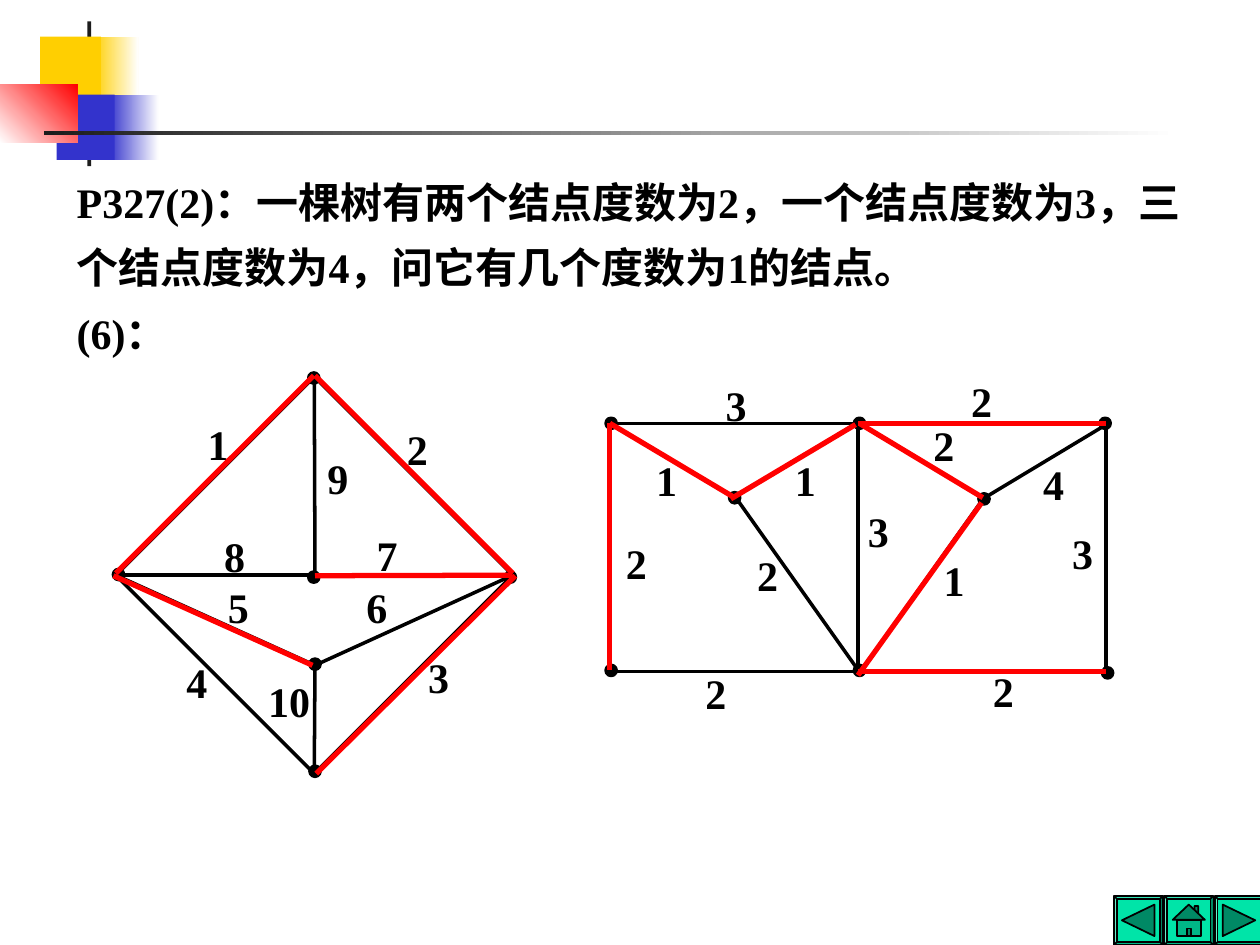
from dataclasses import dataclass
from typing import Optional

from lxml import etree
from pptx import Presentation
from pptx.dml.color import RGBColor
from pptx.enum.shapes import MSO_CONNECTOR, MSO_SHAPE
from pptx.enum.text import MSO_AUTO_SIZE
from pptx.oxml.ns import qn
from pptx.util import Pt

RECT, DIAMOND, OVAL = MSO_SHAPE.RECTANGLE, MSO_SHAPE.DIAMOND, MSO_SHAPE.OVAL
BEVEL = MSO_SHAPE.BEVEL
STRAIGHT = MSO_CONNECTOR.STRAIGHT
FIT_SHAPE = MSO_AUTO_SIZE.SHAPE_TO_FIT_TEXT
TOP, LEFT, BOTTOM, RIGHT = range(4)
FONT = "Times New Roman"
COLORS = {"black": "000000", "white": "FFFFFF", "red": "FF0000", "yellow": "FFCF01",
          "blue": "3333CC", "dark": "1C1C1C", "button": "00E4A8",
          "icon": "008965", "wall": "00B787"}
DOT = 5.8
BUTTON, BUTTON_STEP = 28.1, 28.8


@dataclass
class Block:
    box: tuple
    color: str
    to: Optional[str] = None
    angle: float = 0


@dataclass
class Edge:
    x1: float
    y1: float
    x2: float
    y2: float
    begin: Optional[int] = None  # side of the frame joined at the start
    end: Optional[int] = None    # side of the frame joined at the end


@dataclass
class Label:
    text: str
    x: float
    y: float


@dataclass
class Graph:
    frame: int
    box: tuple
    edges: list
    dots: list
    labels: list
    tree: list


@dataclass
class Icon:
    color: str
    points: list


def rgb(name: str) -> RGBColor:
    return RGBColor.from_string(COLORS[name])


def paint(sp, fill: Optional[str], line: Optional[str] = None, width: float = 2) -> None:
    sp.shadow.inherit = False
    if fill:
        sp.fill.solid()
        sp.fill.fore_color.rgb = rgb(fill)
    else:
        sp.fill.background()
    if line:
        sp.line.color.rgb = rgb(line)
        sp.line.width = Pt(width)
    else:
        sp.line.fill.background()


def add_shape(s, kind: int, box: tuple, fill=None, line=None, width: float = 2):
    sp = s.shapes.add_shape(kind, *map(Pt, box))
    paint(sp, fill, line, width)
    return sp


def add_block(s, block: Block) -> None:
    sp = add_shape(s, RECT, block.box, block.color)
    if block.to:
        sp.fill.gradient()
        sp.fill.gradient_angle = block.angle
        for stop, name in zip(sp.fill.gradient_stops, (block.color, block.to)):
            stop.color.rgb = rgb(name)


def add_edge(s, edge: Edge, frame, color: str, width: float) -> None:
    c = s.shapes.add_connector(STRAIGHT, Pt(edge.x1), Pt(edge.y1), Pt(edge.x2), Pt(edge.y2))
    if edge.begin is not None:
        c.begin_connect(frame, edge.begin)
    if edge.end is not None:
        c.end_connect(frame, edge.end)
    c.line.color.rgb = rgb(color)
    c.line.width = Pt(width)
    etree.SubElement(c._element.spPr, qn("a:effectLst"))


def add_run(p, text: str) -> None:
    r = p.add_run()
    r.text = text
    r.font.name, r.font.size, r.font.bold = FONT, Pt(24), True
    r.font.color.rgb = rgb("black")


def add_label(s, label: Label) -> None:
    width = 13.8 + 12.2 * len(label.text)
    tf = s.shapes.add_textbox(Pt(label.x), Pt(label.y), Pt(width), Pt(36)).text_frame
    tf.word_wrap = False
    tf.auto_size = FIT_SHAPE
    add_run(tf.paragraphs[0], label.text)


def add_graph(s, graph: Graph):
    frame = add_shape(s, graph.frame, graph.box, None, "black")
    for edge in graph.edges:
        add_edge(s, edge, frame, "black", 2)
    for x, y in graph.dots:
        add_shape(s, OVAL, (x, y, DOT, DOT), "black", "black")
    for label in graph.labels:
        add_label(s, label)
    return frame


def add_button(s, x: float, y: float, icons: list) -> None:
    sp = add_shape(s, BEVEL, (x, y, BUTTON, BUTTON), "button", "black", 1)
    sp.adjustments[0] = 0.06
    for icon in icons:
        pts = [(Pt(x + dx), Pt(y + dy)) for dx, dy in icon.points]
        fb = s.shapes.build_freeform(*pts[0])
        fb.add_line_segments(pts[1:], close=True)
        paint(fb.convert_to_shape(), icon.color, "black", 1)


BLOCKS = [
    Block((53.3, 20.9, 25.9, 37.4), "yellow", "white"),
    Block((61.9, 54, 28.8, 37.4), "blue", "white"),
    Block((49.9, 12.2, 2.2, 82.8), "dark"),
    Block((23, 20.9, 34.6, 37.4), "yellow"),
    Block((32.4, 54, 33.1, 37.4), "blue"),
    Block((0, 48.2, 44.3, 33.3), "white", "red", 45),
    Block((25.2, 74.9, 648, 2.2), "dark", "white"),
]
QUESTION = [
    "P327(2)：一棵树有两个结点度数为2，一个结点度数为3，三个结点度数为4，问它有几个度数为1的结点。",
    "(6)：",
]
DIAMOND_GRAPH = Graph(
    DIAMOND, (66.2, 215.3, 226.8, 226.8),
    [Edge(66.2, 329, 293, 329, LEFT, RIGHT), Edge(66.2, 329, 180, 380.2, LEFT),
     Edge(180, 442, 180, 378.7, BOTTOM), Edge(180, 380.2, 293, 329, None, RIGHT),
     Edge(180, 215.3, 180, 329, TOP)],
    [(176.4, 213.1), (288.7, 326.9), (176.4, 326.9), (64.8, 325.4), (177.1, 376.6),
     (177.1, 437.8)],
    [Label("1", 111.6, 235.4), Label("2", 225.4, 238.3), Label("3", 237.6, 368.6),
     Label("4", 99.4, 371.5), Label("5", 123.1, 329), Label("6", 202.3, 329),
     Label("10", 146.2, 382.3), Label("8", 121, 299.5), Label("7", 208.1, 298.8),
     Label("9", 180, 254.9)],
    [Edge(66.2, 327.6, 179.3, 214.6), Edge(180, 214.6, 293, 327.6),
     Edge(180.7, 442.1, 294.5, 329), Edge(64.8, 329, 178.6, 380.2),
     Edge(180, 329, 293, 329, None, RIGHT)])
RECT_GRAPH = Graph(
    RECT, (348.5, 241.9, 283.7, 141.8),
    [Edge(490.3, 241.9, 490.3, 383.7, TOP, BOTTOM), Edge(348.5, 241.9, 419.8, 284.4),
     Edge(419, 284.4, 489.6, 241.9), Edge(420.5, 284.4, 491, 383.8),
     Edge(491, 241.9, 561.6, 284.4), Edge(561.6, 285.1, 632.2, 242.6),
     Edge(562.3, 284.4, 491.8, 383.8)],
    [(346.3, 239), (416.9, 281.5), (488.2, 239), (559.4, 282.2), (628.6, 239),
     (346.3, 380.2), (488.2, 380.2), (630, 381.6)],
    [Label("1", 367.9, 256.3), Label("1", 447.1, 256.3), Label("2", 425.5, 310.3),
     Label("3", 488.9, 285.1), Label("1", 532.1, 313.2), Label("2", 526.3, 236.2),
     Label("2", 396, 378), Label("2", 560.2, 376.6), Label("2", 350.6, 303.8),
     Label("2", 547.9, 211), Label("3", 407.5, 213.1), Label("3", 605.5, 298.1),
     Label("4", 589, 258.5)],
    [Edge(348.5, 241.9, 419.8, 284.4), Edge(417.6, 285.1, 488.9, 242.6),
     Edge(560.9, 287.3, 490.3, 385.9), Edge(348.5, 241.9, 348.5, 383),
     Edge(490.3, 383.7, 632.2, 383.7, BOTTOM), Edge(490.3, 241.9, 632.2, 241.9, TOP),
     Edge(491, 241.9, 561.6, 284.4)])
BACK = [Icon("icon", [(4.6, 14), (23.2, 5), (23.2, 23)])]
HOME = [Icon("icon", [(17.3, 10), (17.3, 5.8), (19.4, 5.8), (19.4, 11)]),
        Icon("wall", [(7.2, 13.7), (20.9, 13.7), (20.9, 23), (7.2, 23)]),
        Icon("icon", [(14, 5), (23.2, 13.7), (4.8, 13.7)]),
        Icon("icon", [(13, 18.7), (15.1, 18.7), (15.1, 23), (13, 23)])]
FORWARD = [Icon("icon", [(4.6, 5), (23.2, 14), (4.6, 23)])]


def main() -> None:
    prs = Presentation()
    prs.slide_width, prs.slide_height = Pt(720), Pt(540)
    s = prs.slides.add_slide(prs.slide_layouts[6])

    # Corner decoration and rule
    for block in BLOCKS:
        add_block(s, block)

    # Navigation buttons
    for i, icons in enumerate((BACK, HOME, FORWARD)):
        add_button(s, 636.5 + i * BUTTON_STEP, 511.9, icons)

    # Question text
    tf = s.shapes.add_textbox(Pt(36.7), Pt(88.6), Pt(651.6), Pt(119.5)).text_frame
    tf.word_wrap = True
    for i, text in enumerate(QUESTION):
        p = tf.add_paragraph() if i else tf.paragraphs[0]
        p.line_spacing = 1.3
        add_run(p, text)

    # Weighted graphs, then their spanning trees on top
    graphs = (DIAMOND_GRAPH, RECT_GRAPH)
    frames = [add_graph(s, graph) for graph in graphs]
    for graph, frame in zip(graphs, frames):
        for edge in graph.tree:
            add_edge(s, edge, frame, "red", 3)

    prs.save("out.pptx")


if __name__ == "__main__":
    main()
